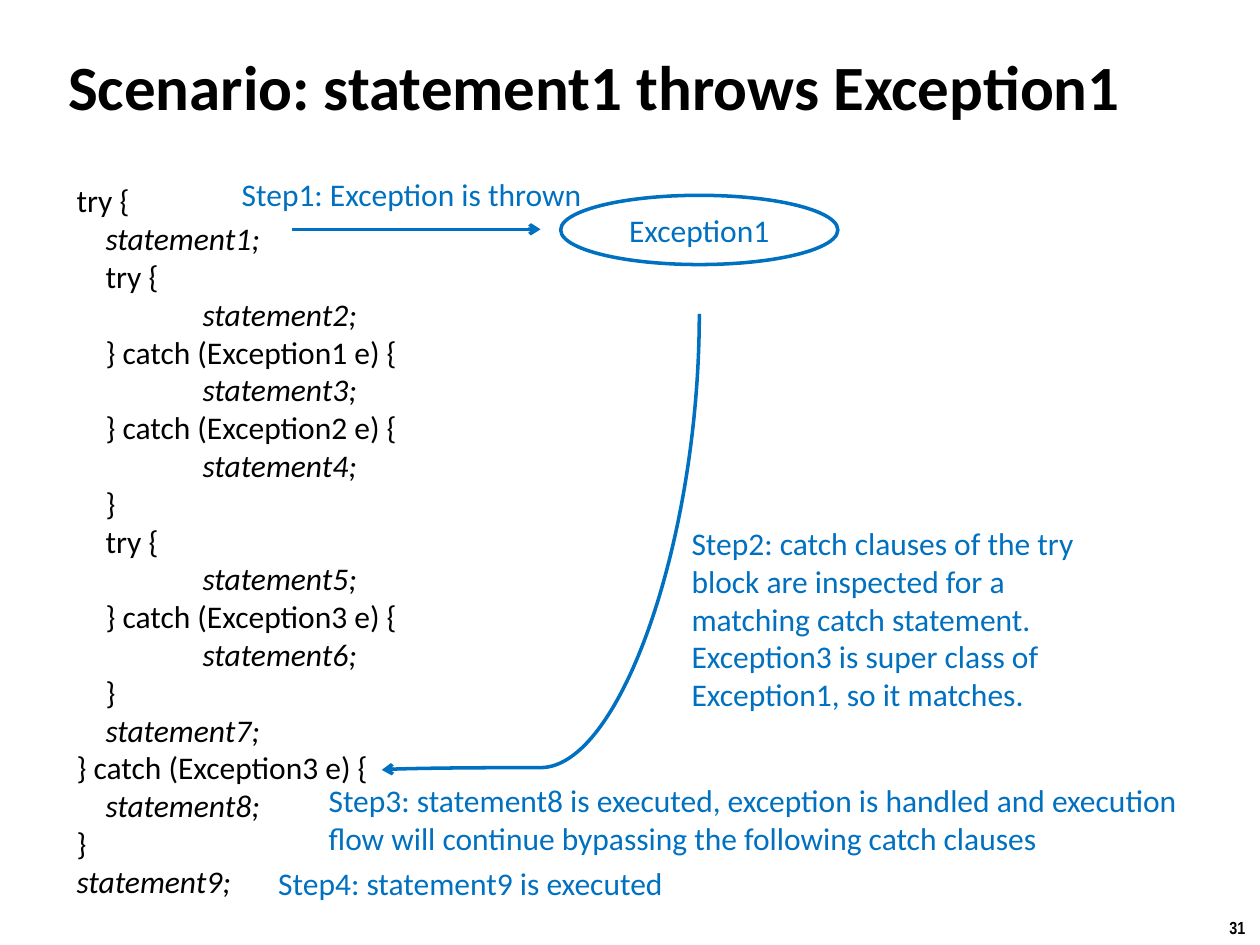
import pptx
import pptx.dml.color
import pptx.enum.shapes
import pptx.enum.text
import pptx.oxml.ns
import pptx.util
from lxml import etree

Inches = pptx.util.Inches
Pt = pptx.util.Pt
qn = pptx.oxml.ns.qn
Align = pptx.enum.text.PP_ALIGN
Anchor = pptx.enum.text.MSO_ANCHOR
Connector = pptx.enum.shapes.MSO_CONNECTOR

COLORS = {"text": "000000", "step": "0070C0"}
INDENTS = (0, 0.23, 1)

# Indent level and code of each line
CODE = [
    (0, "try {"),
    (1, "statement1;"),
    (1, "try {"),
    (2, "statement2;"),
    (1, "} catch (Exception1 e) {"),
    (2, "statement3;"),
    (1, "} catch (Exception2 e) {"),
    (2, "statement4;"),
    (1, "}"),
    (1, "try {"),
    (2, "statement5;"),
    (1, "} catch (Exception3 e) {"),
    (2, "statement6;"),
    (1, "}"),
    (1, "statement7;"),
    (0, "} catch (Exception3 e) {"),
    (1, "statement8;"),
    (0, "}"),
    (0, "statement9;"),
]

# Left, top, width, height, wrap, text
STEPS = [
    (1.82, 1.34, 2.98, 0.4, False, "Step1: Exception is thrown"),
    (5.39, 4.11, 3.39, 1.62, True,
     "Step2: catch clauses of the try block are inspected for a matching "
     "catch statement. Exception3 is super class of Exception1, so it matches."),
    (2.51, 6.15, 7.24, 0.71, True,
     "Step3: statement8 is executed, exception is handled and execution "
     "flow will continue bypassing the following catch clauses"),
    (2.11, 6.81, 3.39, 0.4, True, "Step4: statement9 is executed"),
]


def rgb(name):
    return pptx.dml.color.RGBColor.from_string(COLORS[name])


def style(para, color, size=18, name="Calibri", bold=False, align=Align.LEFT):
    para.alignment = align
    para.font.name = name
    para.font.size = Pt(size)
    para.font.bold = bold
    para.font.color.rgb = rgb(color)


def add_box(page, left, top, width, height, wrap=True):
    box = page.shapes.add_textbox(
        Inches(left), Inches(top), Inches(width), Inches(height))
    box.text_frame.word_wrap = wrap
    return box


def add_label(page, left, top, width, height, wrap, text, color="step", **font):
    box = add_box(page, left, top, width, height, wrap)
    para = box.text_frame.paragraphs[0]
    para.text = text
    style(para, color, **font)


def set_title(page, text):
    title = page.shapes.title
    title.left, title.top = Inches(0.5), Inches(0.08)
    title.width, title.height = Inches(9.08), Inches(1.19)
    frame = title.text_frame
    frame.vertical_anchor = Anchor.MIDDLE
    frame.margin_left = frame.margin_right = Inches(0.04)
    frame.margin_top = frame.margin_bottom = Inches(0.04)
    frame.text = text
    style(frame.paragraphs[0], "text", size=36, bold=True)


def add_code(page):
    """Write the listing, with the statements in italics."""
    frame = add_box(page, 0.51, 1.39, 3.94, 5.86).text_frame
    for number, (level, text) in enumerate(CODE):
        para = frame.add_paragraph() if number else frame.paragraphs[0]
        para.text = text
        style(para, "text")
        para.font.italic = text.startswith("statement")
        para._p.get_or_add_pPr().set("marL", str(Inches(INDENTS[level])))


def add_exception(page):
    oval = page.shapes.add_shape(
        pptx.enum.shapes.MSO_SHAPE.OVAL,
        Inches(4.45), Inches(1.55), Inches(2.2), Inches(0.55))
    oval.shadow.inherit = False
    oval.fill.background()
    oval.line.color.rgb = rgb("step")
    oval.line.width = Pt(2)
    frame = oval.text_frame
    frame.vertical_anchor = Anchor.MIDDLE
    frame.text = "Exception1"
    style(frame.paragraphs[0], "step", align=Align.CENTER)


def add_arrow(page, kind, start_x, start_y, end_x, end_y):
    arrow = page.shapes.add_connector(
        kind, Inches(start_x), Inches(start_y), Inches(end_x), Inches(end_y))
    arrow.line.color.rgb = rgb("step")
    arrow.line.width = Pt(2)
    etree.SubElement(arrow.line._get_or_add_ln(), qn("a:tailEnd"), type="arrow")
    etree.SubElement(arrow._element.spPr, qn("a:effectLst"))
    return arrow


def add_curved_arrow(page):
    """Lead from below the exception to the clause that catches it."""
    arrow = add_arrow(page, Connector.CURVE, 2.48, 3.04, 6.1, 5.56)
    properties = arrow._element.spPr
    properties.find(qn("a:xfrm")).set("rot", str(90 * 60000))
    guides = properties.find(qn("a:prstGeom")).find(qn("a:avLst"))
    etree.SubElement(guides, qn("a:gd"), name="adj1", fmla="val 99500")


def main():
    deck = pptx.Presentation()
    deck.slide_width, deck.slide_height = Inches(10), Inches(7.5)
    page = deck.slides.add_slide(deck.slide_layouts[5])
    add_label(page, 9.66, 7.23, 0.34, 0.27, False, "31",
              color="text", size=10, name="Arial Narrow", bold=True)
    set_title(page, "Scenario: statement1 throws Exception1")
    add_code(page)
    add_exception(page)
    add_arrow(page, Connector.STRAIGHT, 2.32, 1.82, 4.29, 1.82)
    add_curved_arrow(page)
    for step in STEPS:
        add_label(page, *step)
    deck.save("out.pptx")


if __name__ == "__main__":
    main()
